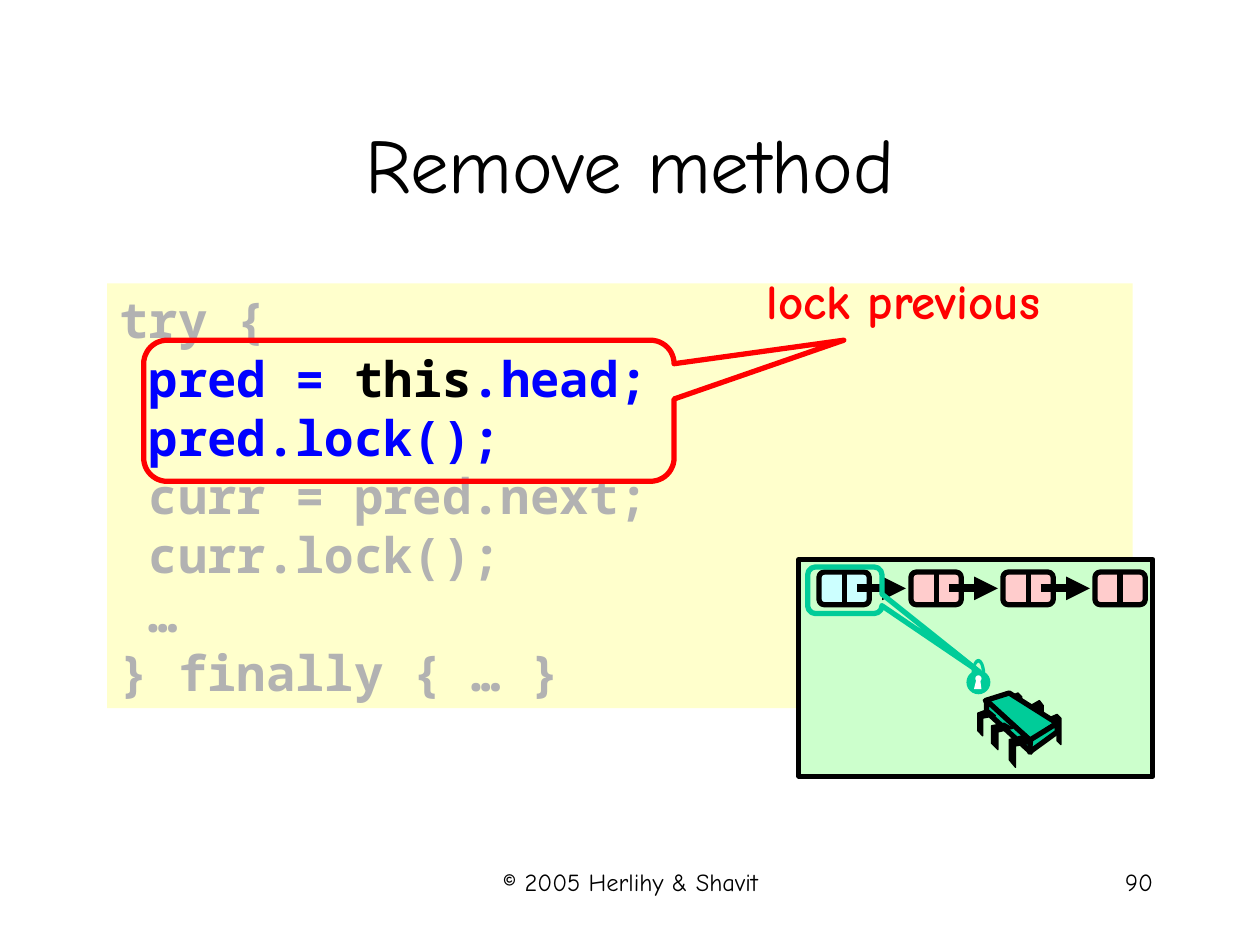
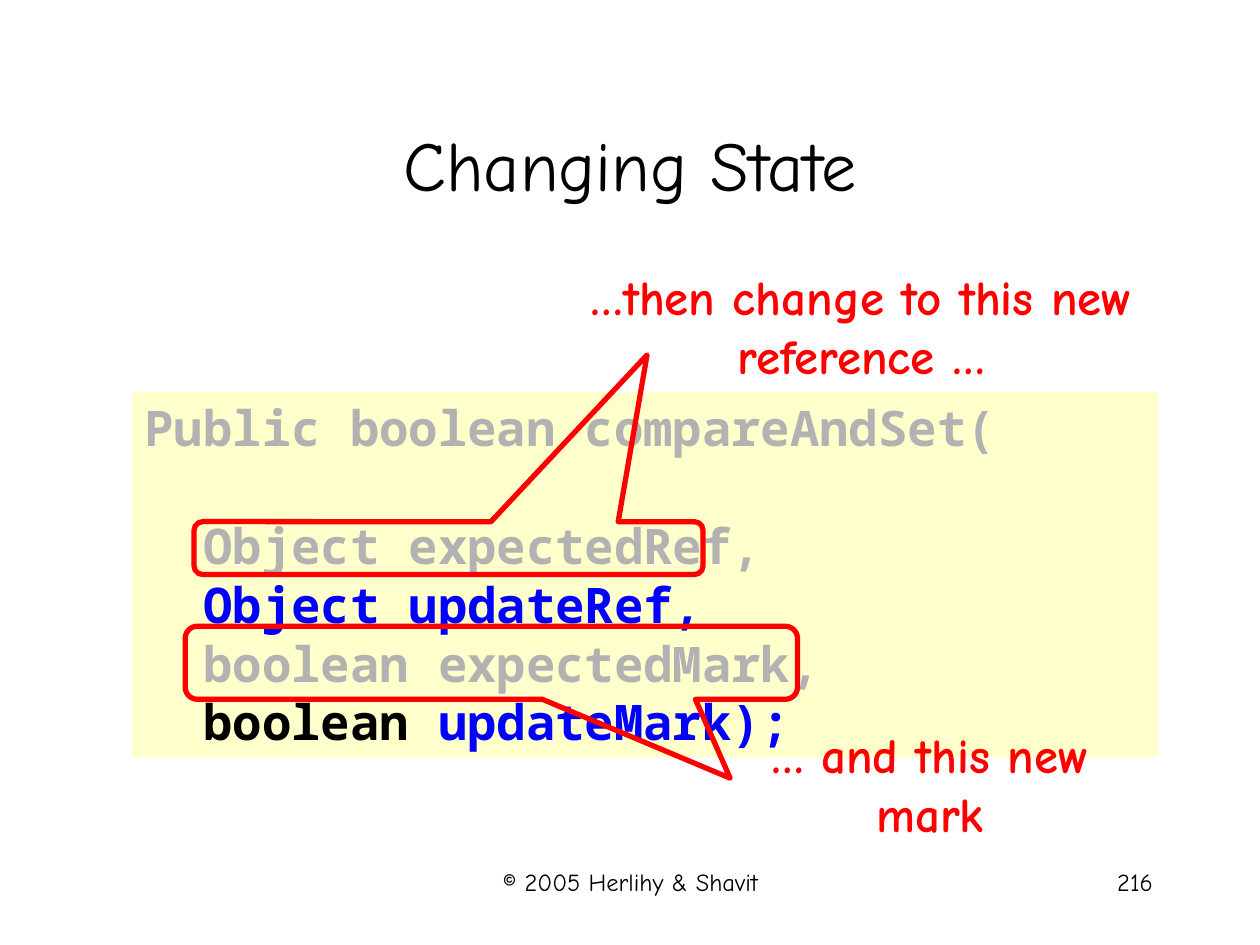
from lxml import etree
from pptx import Presentation
from pptx.dml.color import RGBColor
from pptx.enum.shapes import MSO_CONNECTOR, MSO_SHAPE
from pptx.enum.text import MSO_ANCHOR, MSO_AUTO_SIZE, PP_ALIGN
from pptx.oxml.ns import qn
from pptx.util import Pt

PX = 9144  # 100 px to the inch
SANS, MONO = "Comic Neue", "Noto Sans Mono"
BLACK, WHITE, RED, BLUE, GREY = "000000", "FFFFFF", "FF0000", "0000FF", "B2B2B2"
CREAM, MINT, GREEN, PINK, CYAN = "FFFFCC", "CCFFCC", "00CC99", "FFCCCC", "CCFFFF"


def style(sp, fill=None, line=None, width=3):
    sp.shadow.inherit = False
    if fill:
        sp.fill.solid()
        sp.fill.fore_color.rgb = RGBColor.from_string(fill)
    else:
        sp.fill.background()
    if line:
        sp.line.color.rgb = RGBColor.from_string(line)
        sp.line.width = Pt(width)
    else:
        sp.line.fill.background()


def write(sp, lines, size, font=SANS, bold=False, align=PP_ALIGN.CENTER, anchor=MSO_ANCHOR.TOP):
    """Each line is a list of (text, colour) runs."""
    tf = sp.text_frame
    tf.word_wrap = True
    tf.auto_size = MSO_AUTO_SIZE.NONE
    tf.vertical_anchor = anchor
    for i, runs in enumerate(lines):
        p = tf.add_paragraph() if i else tf.paragraphs[0]
        p.alignment = align
        for text, color in runs:
            r = p.add_run()
            r.text = text
            r.font.name, r.font.size, r.font.bold = font, Pt(size), bold
            r.font.color.rgb = RGBColor.from_string(color)


# Slide contents
slides = [
    dict(
        title="Remove method", title_size=44, number="90",
        code_box=(85, 225, 814, 337),
        code=[
            [("try {", GREY)],
            [(" pred = ", BLUE), ("this", BLACK), (".head;", BLUE)],
            [(" pred.lock();", BLUE)],
            [(" curr = pred.next;", GREY)],
            [(" curr.lock();", GREY)],
            [(" …", GREY)],
            [("} finally { … }", GREY)],
        ],
        callouts=[((114, 270, 421, 112), (0.82, -0.5))],
        labels=[((537, 210, 360, 64), "lock previous")],
    ),
    dict(
        title="Changing State", title_size=40, number="216",
        code_box=(105, 311, 814, 290),
        code=[
            [("Public boolean compareAndSet(", GREY)],
            [("  Object expectedRef,", GREY)],
            [("  Object updateRef,", BLUE)],
            [("  boolean expectedMark,", GREY)],
            [("  boolean", BLACK), (" updateMark);", BLUE)],
        ],
        callouts=[((147, 497, 486, 58), (0.39, 1.58)), ((154, 414, 404, 42), (0.39, -3.65))],
        labels=[((439, 207, 489, 104), "…then change to this new reference …"),
                ((564, 570, 348, 104), "… and this new mark")],
    ),
]

prs = Presentation()
prs.slide_width, prs.slide_height = 1000 * PX, 750 * PX

for spec_no, d in enumerate(slides):
    s = prs.slides.add_slide(prs.slide_layouts[5])

    # Title
    sp = s.shapes.title
    sp.left, sp.top, sp.width, sp.height = 75 * PX, 67 * PX, 850 * PX, 125 * PX
    write(sp, [[(d["title"], BLACK)]], d["title_size"], anchor=MSO_ANCHOR.MIDDLE)

    # Code panel
    sp = s.shapes.add_shape(MSO_SHAPE.RECTANGLE, *[v * PX for v in d["code_box"]])
    style(sp, CREAM)
    write(sp, d["code"], 28, MONO, True, PP_ALIGN.LEFT)
    for p in sp.text_frame.paragraphs:
        p.line_spacing = Pt(33.6)
    if spec_no == 1:  # one empty line below the method name
        sp.text_frame.paragraphs[0].space_after = Pt(33.6)

    # Red callouts and their labels
    for box, tip in d["callouts"]:
        sp = s.shapes.add_shape(MSO_SHAPE.ROUNDED_RECTANGULAR_CALLOUT, *[v * PX for v in box])
        sp.adjustments[0], sp.adjustments[1] = tip
        style(sp, None, RED)
    for box, text in d["labels"]:
        write(s.shapes.add_textbox(*[v * PX for v in box]), [[(text, RED)]], 28, bold=True)

    # Footer
    for x, w, text, align in [(342, 317, "© 2005 Herlihy & Shavit", PP_ALIGN.CENTER),
                              (717, 208, d["number"], PP_ALIGN.RIGHT)]:
        sp = s.shapes.add_textbox(x * PX, 683 * PX, w * PX, 50 * PX)
        write(sp, [[(text, BLACK)]], 14, align=align)

# Linked list diagram on the first slide
g = prs.slides[0].shapes.add_group_shape().shapes
sp = g.add_shape(MSO_SHAPE.RECTANGLE, 634 * PX, 444 * PX, 281 * PX, 172 * PX)
style(sp, MINT, BLACK)

# List nodes, then their dividers and arrows
lines = []
for i in range(4):
    x = 650 + 73 * i
    sp = g.add_shape(MSO_SHAPE.ROUNDED_RECTANGLE, x * PX, 454 * PX, 40 * PX, 26 * PX)
    style(sp, PINK if i else CYAN, BLACK)
    lines.append((x + 20, 454, x + 20, 480, 3))
    if i < 3:
        lines.append((x + 30, 467, x + 69, 467, 4.5))
for x1, y1, x2, y2, width in lines:
    cn = g.add_connector(MSO_CONNECTOR.STRAIGHT, x1 * PX, y1 * PX, x2 * PX, y2 * PX)
    cn.line.color.rgb = RGBColor.from_string(BLACK)
    cn.line.width = Pt(width)
    if y1 == y2:
        etree.SubElement(cn.line._get_or_add_ln(), qn("a:tailEnd"), type="triangle")
    etree.SubElement(cn._element.spPr, qn("a:effectLst"))

# Lock and its callout
for kind, box, adj, fill, line in [
    (MSO_SHAPE.ROUNDED_RECTANGULAR_CALLOUT, (641, 450, 59, 37), (1.81, 1.75, 0.17), None, GREEN),
    (MSO_SHAPE.OVAL, (767, 532, 19, 19), (), GREEN, None),
    (MSO_SHAPE.OVAL, (774, 536, 5, 5), (), WHITE, None),
    (MSO_SHAPE.BLOCK_ARC, (771, 523, 11, 24), (108, 0, 0.25), GREEN, None),
]:
    sp = g.add_shape(kind, *[v * PX for v in box])
    for i, v in enumerate(adj):
        sp.adjustments[i] = v
    style(sp, fill, line)

# Keyhole, then the chip: far legs, body faces, near legs
for points, fill, line, width in [
    ([(773, 547), (779, 547), (778, 539), (775, 539)], WHITE, None, 0),
    ([(832, 570), (839, 567), (842, 570), (842, 591), (839, 588), (839, 574), (832, 577)], BLACK, BLACK, 0.75),
    ([(818, 560), (825, 556), (828, 560), (828, 581), (825, 577), (825, 563), (818, 567)], BLACK, BLACK, 0.75),
    ([(801, 553), (808, 550), (811, 553), (811, 570), (808, 567), (808, 555), (801, 558)], BLACK, BLACK, 0.75),
    ([(801, 550), (839, 574), (818, 588), (782, 556)], GREEN, BLACK, 3),
    ([(783, 556), (818, 588), (818, 597), (783, 565)], GREEN, BLACK, 3),
    ([(839, 574), (839, 581), (817, 597), (818, 587)], GREEN, BLACK, 3),
    ([(811, 584), (818, 590), (806, 592), (806, 609), (801, 603), (801, 587)], BLACK, BLACK, 0.75),
    ([(797, 574), (804, 578), (792, 581), (792, 595), (787, 590), (787, 576)], BLACK, BLACK, 0.75),
    ([(784, 563), (790, 568), (780, 570), (780, 584), (776, 580), (776, 566)], BLACK, BLACK, 0.75),
]:
    fb = g.build_freeform(*points[0], scale=PX)
    fb.add_line_segments(points[1:], close=True)
    style(fb.convert_to_shape(), fill, line, width)

prs.save("out.pptx")
